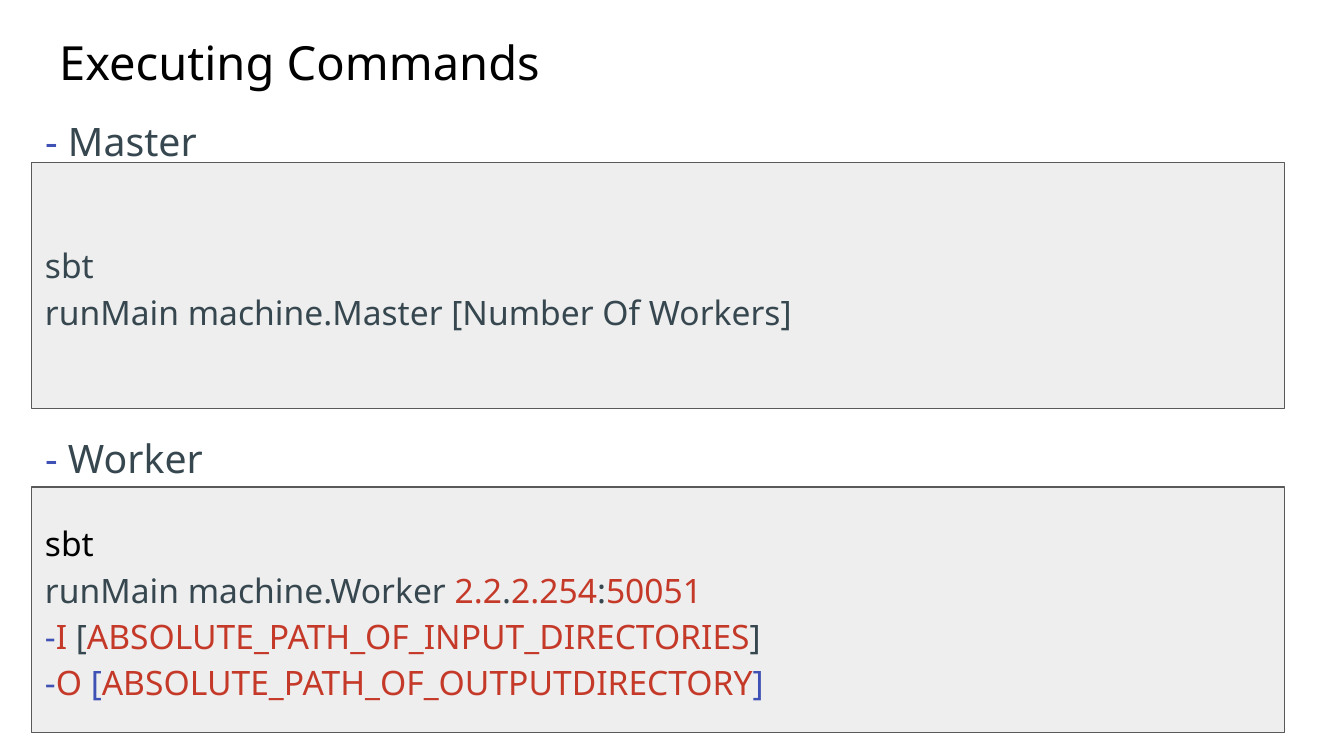
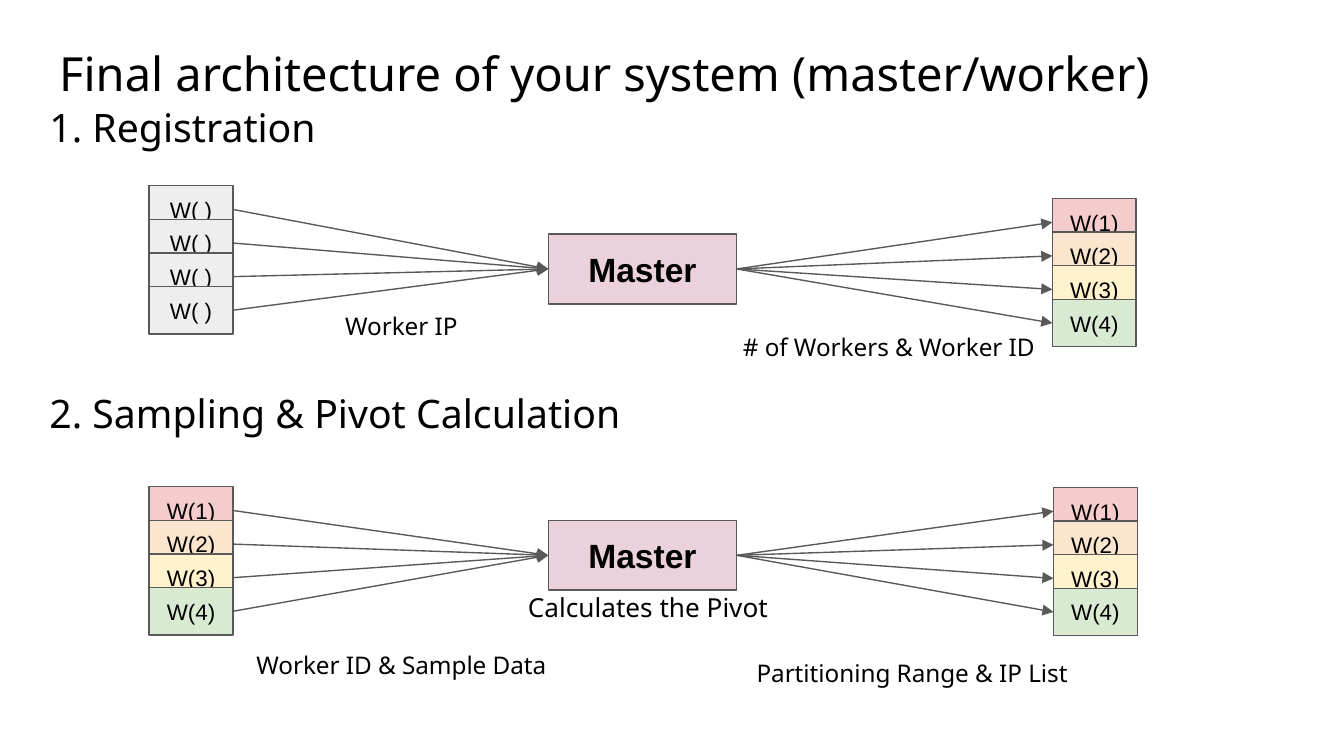
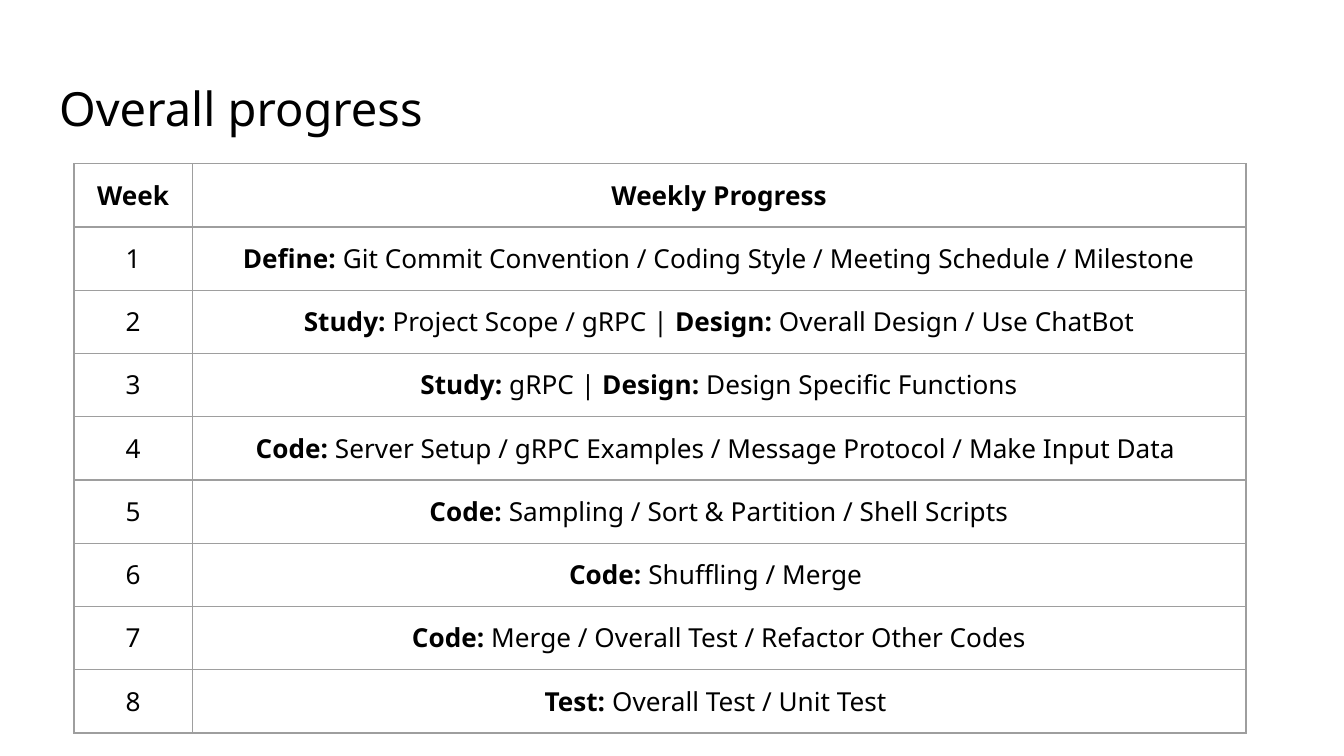
from collections import namedtuple
from dataclasses import dataclass

from lxml import etree
from pptx import Presentation
from pptx.dml.color import RGBColor
from pptx.enum.shapes import MSO_CONNECTOR, MSO_SHAPE
from pptx.enum.text import MSO_ANCHOR, MSO_AUTO_SIZE, PP_ALIGN
from pptx.oxml.ns import qn
from pptx.util import Pt

LEFT, CENTER = PP_ALIGN.LEFT, PP_ALIGN.CENTER
TOP, MIDDLE = MSO_ANCHOR.TOP, MSO_ANCHOR.MIDDLE
NO_AUTOFIT = MSO_AUTO_SIZE.NONE
RECTANGLE, STRAIGHT = MSO_SHAPE.RECTANGLE, MSO_CONNECTOR.STRAIGHT
LEFT_SIDE, RIGHT_SIDE = 1, 3
TITLE_AND_BODY, TITLE_ONLY = 1, 5

Box = namedtuple("Box", "x y w h")


@dataclass(frozen=True)
class Theme:
    font: str = "Noto Sans"
    box_font: str = "Arial"
    black: str = "000000"
    slate: str = "37474F"
    blue: str = "3F51B5"
    red: str = "C53929"
    outline: str = "595959"
    grid: str = "9E9E9E"
    panel: str = "EEEEEE"
    master: str = "EAD1DC"
    workers: tuple = ("F4CCCC", "FCE5CD", "FFF2CC", "D9EAD3")
    title_size: float = 25.2
    heading_size: float = 21
    code_size: float = 18
    table_size: float = 14
    label_size: float = 13
    worker_size: float = 12
    inset: float = 7.2
    line_width: float = 0.75
    code_spacing: float = 1.15


THEME = Theme()
BLACK, SLATE, BLUE, RED = (
    {"color": c} for c in (THEME.black, THEME.slate, THEME.blue, THEME.red)
)
BOLD = {"bold": True}

TITLE_BOX = Box(24.5, 10.8, 671, 45.4)

MASTER_COMMAND = [
    [("sbt", SLATE)],
    [("runMain machine.Master [Number Of Workers]", SLATE)],
]
WORKER_COMMAND = [
    [("sbt", BLACK)],
    [("runMain machine.Worker ", SLATE), ("2.2", RED), (".", SLATE),
     ("2.254", RED), (":", SLATE), ("50051", RED)],
    [("-", BLUE), ("I", RED), (" [", SLATE),
     ("ABSOLUTE_PATH_OF_INPUT_DIRECTORIES", RED), ("]", SLATE)],
    [("-", BLUE), ("O", RED), (" [", BLUE),
     ("ABSOLUTE_PATH_OF_OUTPUTDIRECTORY", RED), ("]", BLUE)],
]

UNREGISTERED = [("W( )", THEME.panel)] * 4
REGISTERED = [(f"W({i})", fill) for i, fill in enumerate(THEME.workers, 1)]

WEEKS = [
    [("Define:", " Git Commit Convention / Coding Style / Meeting Schedule / Milestone")],
    [("Study:", " Project Scope / gRPC | "), ("Design:", " Overall Design / Use ChatBot")],
    [("Study:", " gRPC | "), ("Design:", " Design Specific Functions")],
    [("Code:", " Server Setup / gRPC Examples / Message Protocol / Make Input Data ")],
    [("Code:", " Sampling / Sort & Partition / Shell Scripts")],
    [("Code: ", "Shuffling / Merge ")],
    [("Code: ", "Merge / Overall Test / Refactor Other Codes")],
    [("Test:", " Overall Test / Unit Test ")],
]


def points(box):
    return [Pt(round(length, 2)) for length in box]


def write(frame, lines, *, size, font=THEME.font, color=THEME.black, bold=False,
          align=LEFT, anchor=TOP, spacing=1.0, before=0):
    frame.word_wrap = True
    frame.auto_size = NO_AUTOFIT
    frame.vertical_anchor = anchor
    frame.margin_left = frame.margin_right = Pt(THEME.inset)
    frame.margin_top = frame.margin_bottom = Pt(THEME.inset)
    for index, line in enumerate(lines):
        paragraph = frame.add_paragraph() if index else frame.paragraphs[0]
        paragraph.alignment = align
        paragraph.line_spacing = spacing
        paragraph.space_before = Pt(before)
        for text, change in [(line, {})] if isinstance(line, str) else line:
            run = paragraph.add_run()
            run.text = text
            run.font.name = font
            run.font.size = Pt(size)
            run.font.bold = change.get("bold", bold)
            run.font.color.rgb = RGBColor.from_string(change.get("color", color))


def place(shape, box):
    shape.left, shape.top, shape.width, shape.height = points(box)


def add_title(slide, text, box=TITLE_BOX, **style):
    place(slide.shapes.title, box)
    write(slide.shapes.title.text_frame, [text], size=THEME.title_size, **style)


def add_label(slide, text, box, size=THEME.label_size):
    label = slide.shapes.add_textbox(*points(box))
    write(label.text_frame, [text], size=size)


def add_block(slide, lines, box, fill, **style):
    block = slide.shapes.add_shape(RECTANGLE, *points(box))
    block.shadow.inherit = False
    block.fill.solid()
    block.fill.fore_color.rgb = RGBColor.from_string(fill)
    block.line.color.rgb = RGBColor.from_string(THEME.outline)
    block.line.width = Pt(THEME.line_width)
    write(block.text_frame, lines, anchor=MIDDLE, **style)
    return block


def add_arrow(slide, source, target):
    arrow = slide.shapes.add_connector(STRAIGHT, Pt(0), Pt(0), Pt(0), Pt(0))
    arrow.begin_connect(source, RIGHT_SIDE)
    arrow.end_connect(target, LEFT_SIDE)
    arrow.line.color.rgb = RGBColor.from_string(THEME.outline)
    arrow.line.width = Pt(THEME.line_width)
    properties = arrow.element.spPr
    etree.SubElement(properties.find(qn("a:ln")), qn("a:tailEnd"), type="triangle")
    etree.SubElement(properties, qn("a:effectLst"))


def add_worker_stack(slide, workers, box):
    step = 18
    return [
        add_block(slide, [name], Box(box.x, box.y + i * step, box.w, box.h), fill,
                  size=THEME.worker_size, font=THEME.box_font, align=CENTER)
        for i, (name, fill) in enumerate(workers)
    ]


def add_stage(slide, box, heading, heading_width, senders, send_y, receive_x, receive_y, labels):
    def inside(x, y, w, h):
        return Box(box.x + x, box.y + y, w, h)

    add_label(slide, heading, inside(0, 0, heading_width, 37.4), THEME.heading_size)
    sending = add_worker_stack(slide, senders, inside(60.5, send_y, 44.9, 25.4))
    master = add_block(slide, ["Master"], inside(274.3, 77.2, 101, 37.4), THEME.master,
                       size=THEME.code_size, font=THEME.box_font, bold=True, align=CENTER)
    receiving = add_worker_stack(slide, REGISTERED, inside(receive_x, receive_y, 44.9, 25.4))
    for worker in sending:
        add_arrow(slide, worker, master)
    for worker in receiving:
        add_arrow(slide, master, worker)
    for text, place_in_stage, size in labels:
        add_label(slide, text, inside(*place_in_stage), size)


def add_progress_table(slide, box, week_width):
    rows = [[[("Week", BOLD)], [("Weekly Progress", BOLD)]]]
    for week, tasks in enumerate(WEEKS, 1):
        progress = [run for kind, detail in tasks for run in ((kind, BOLD), (detail, {}))]
        rows.append([[(str(week), {})], progress])

    frame = slide.shapes.add_table(len(rows), 2, *points(box))
    table = frame.table
    table.first_row = table.horz_banding = False
    table.columns[0].width = Pt(week_width)
    table.columns[1].width = Pt(box.w - week_width)
    for tc in frame.element.iter(qn("a:tc")):
        add_borders(tc.get_or_add_tcPr())
    for r, row in enumerate(rows):
        table.rows[r].height = Pt(round(box.h / len(rows), 2))
        for c, line in enumerate(row):
            cell = table.cell(r, c)
            cell.fill.background()
            cell.margin_left = cell.margin_right = Pt(THEME.inset)
            cell.margin_top = cell.margin_bottom = Pt(THEME.inset)
            cell.vertical_anchor = TOP
            write(cell.text_frame, [line], size=THEME.table_size, align=CENTER)


def add_borders(properties):
    for side in ("lnL", "lnR", "lnT", "lnB"):
        border = etree.SubElement(properties, qn(f"a:{side}"), w=str(Pt(THEME.line_width)))
        fill = etree.SubElement(border, qn("a:solidFill"))
        etree.SubElement(fill, qn("a:srgbClr"), val=THEME.grid)


def add_role_headings(slide, box, gap):
    headings = slide.placeholders[1]
    place(headings, box)
    roles = [[("-", BLUE), (f" {role}", SLATE)] for role in ("Master", "Worker")]
    write(headings.text_frame, roles, size=THEME.heading_size, spacing=THEME.code_spacing)
    headings.text_frame.paragraphs[1].space_before = Pt(gap)
    for paragraph in headings.element.iter(qn("a:p")):
        properties = paragraph.get_or_add_pPr()
        properties.set("marL", "0")
        properties.set("indent", "0")
        etree.SubElement(properties, qn("a:buNone"))


def build_commands(deck):
    slide = deck.slides.add_slide(deck.slide_layouts[TITLE_AND_BODY])
    add_title(slide, "Executing Commands")
    add_role_headings(slide, Box(17, 51.8, 671, 215.3), gap=141)
    for command, y in ((MASTER_COMMAND, 87.1), (WORKER_COMMAND, 260.9)):
        add_block(slide, command, Box(17, y, 671, 131.6), THEME.panel,
                  size=THEME.code_size, spacing=THEME.code_spacing)


def build_architecture(deck):
    slide = deck.slides.add_slide(deck.slide_layouts[TITLE_ONLY])
    add_title(slide, "Final architecture of your system (master/worker)", spacing=1.2, before=10)
    add_stage(slide, Box(19.4, 48.2, 680, 150), "1. Registration", 166.3,
              UNREGISTERED, 51.3, 544.4, 58.2, [
                  ("Worker IP", (158.4, 111.6, 78.5, 30.2), THEME.label_size),
                  ("# of Workers & Worker ID", (371.5, 122.4, 177.8, 30.2), THEME.label_size),
              ])
    add_stage(slide, Box(19.4, 201.6, 680, 180), "2. Sampling & Pivot Calculation", 326.9,
              REGISTERED, 59.2, 545, 59.6, [
                  ("Calculates the Pivot", (256.3, 108, 159.1, 31.7), THEME.table_size),
                  ("Worker ID & Sample Data", (110.9, 139.7, 177.8, 30.2), THEME.label_size),
                  ("Partitioning Range & IP List", (378.8, 144, 195.8, 30.2), THEME.label_size),
              ])


def build_progress(deck):
    slide = deck.slides.add_slide(deck.slide_layouts[TITLE_ONLY])
    add_title(slide, "Overall progress", TITLE_BOX._replace(y=35.3))
    add_progress_table(slide, Box(39.6, 87.8, 627.9, 305.1), week_width=63.4)


def main():
    deck = Presentation()
    deck.slide_width, deck.slide_height = Pt(720), Pt(405)
    build_commands(deck)
    build_architecture(deck)
    build_progress(deck)
    deck.save("out.pptx")


if __name__ == "__main__":
    main()
